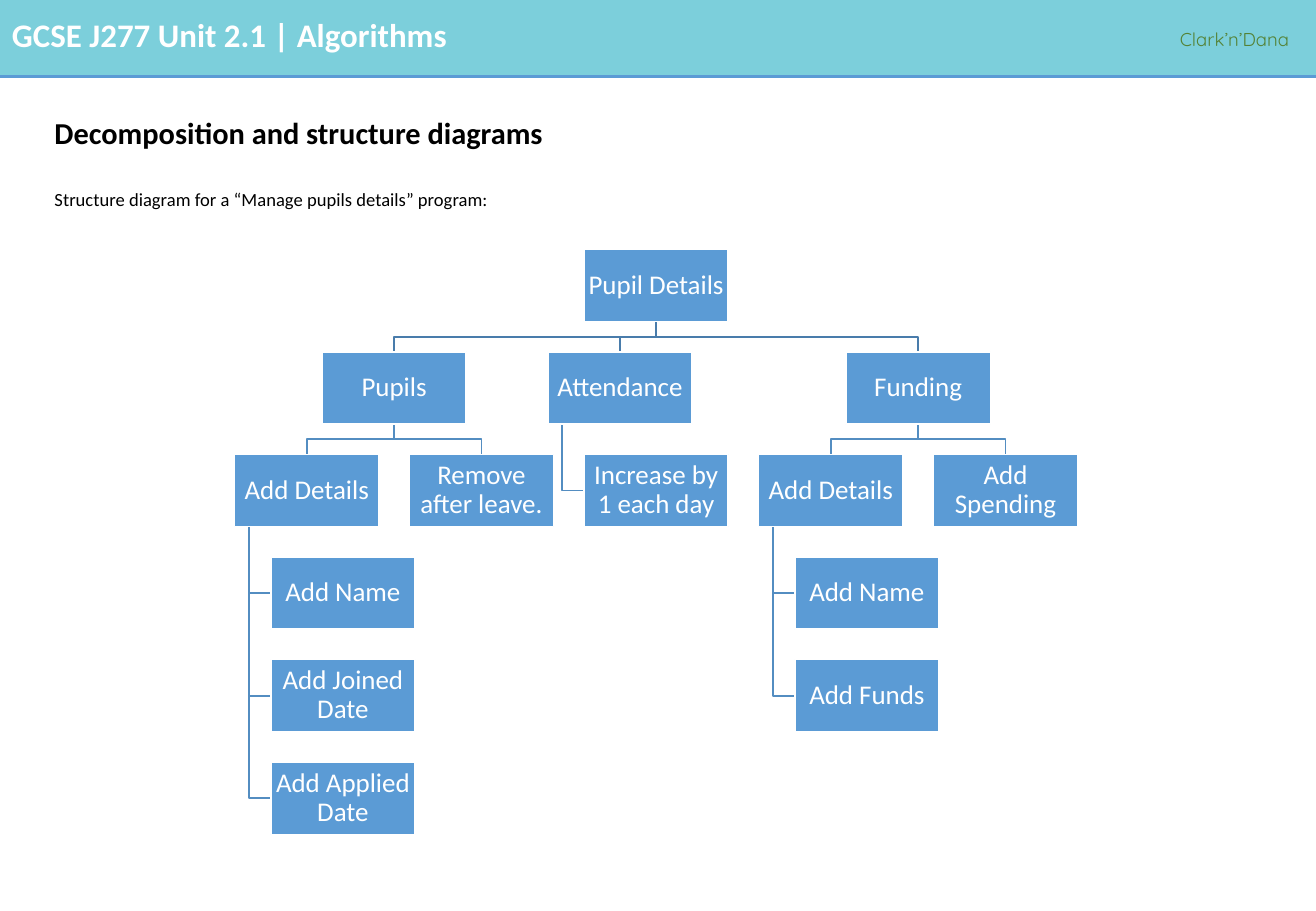
from dataclasses import dataclass

from lxml.etree import SubElement
from pptx import Presentation
from pptx.dml.color import RGBColor
from pptx.enum.shapes import MSO_CONNECTOR, MSO_SHAPE
from pptx.enum.text import MSO_ANCHOR, PP_ALIGN
from pptx.oxml.ns import qn
from pptx.util import Pt

COLOURS = {
    "band": "7CCFDB",
    "box": "5B9BD5",
    "white": "FFFFFF",
    "black": "000000",
    "brand": "548235",
    "top_link": "497CAB",
    "link": "538DC1",
}
PAGE_WIDTH, PAGE_HEIGHT = 779.76, 540
BAND_HEIGHT = 45.4
BOX_WIDTH, BOX_HEIGHT = 85.6, 42.8
TREE_LEFT, TREE_TOP = 139, 147.8
COLUMN_STEP, ROW_STEP = 103.5, 60.8
INDENT = 21.4
SPINE_OFFSET = 8.6
BOX_INSET = 0.7


@dataclass(frozen=True)
class Label:
    text: str
    left: float
    top: float
    width: float
    height: float
    size: float
    colour: str
    font: str = "Calibri"
    bold: bool = False
    spacing: float = 1.0
    wrap: bool = True
    anchor: MSO_ANCHOR = MSO_ANCHOR.TOP


@dataclass(frozen=True)
class Task:
    text: str
    column: float
    row: int
    indent: int = 0
    children: tuple["Task", ...] = ()
    hanging: bool = False

    @property
    def left(self) -> float:
        return TREE_LEFT + self.column * COLUMN_STEP + self.indent * INDENT

    @property
    def top(self) -> float:
        return TREE_TOP + self.row * ROW_STEP

    @property
    def centre(self) -> float:
        return self.left + BOX_WIDTH / 2

    @property
    def bottom(self) -> float:
        return self.top + BOX_HEIGHT


LABELS = (
    Label("GCSE J277 Unit 2.1 | Algorithms", 0, 5, 682.5, 31, 19.5, "white", bold=True),
    Label("Clark’n’Dana", 692, 12.2, 87.8, 21, 11, "brand",
          font="Quicksand", spacing=1.07, wrap=False),
    Label("Decomposition and structure diagrams", 25.2, 59.8, 727.2, 40.3, 18, "black",
          bold=True, spacing=0.9, anchor=MSO_ANCHOR.MIDDLE),
    Label("Structure diagram for a “Manage pupils details” program:",
          25.2, 108, 359.3, 21, 11, "black"),
)


def stack(column: int, *names: str) -> tuple[Task, ...]:
    return tuple(Task(name, column, row, 1) for row, name in enumerate(names, 3))


PUPILS = Task("Pupils", 0.5, 1, children=(
    Task("Add Details", 0, 2, hanging=True,
         children=stack(0, "Add Name", "Add Joined Date", "Add Applied Date")),
    Task("Remove after leave.", 1, 2),
))
ATTENDANCE = Task("Attendance", 2, 1, -1, hanging=True,
                  children=(Task("Increase by 1 each day", 2, 2),))
FUNDING = Task("Funding", 3.5, 1, children=(
    Task("Add Details", 3, 2, hanging=True,
         children=stack(3, "Add Name", "Add Funds")),
    Task("Add Spending", 4, 2),
))
ROOT = Task("Pupil Details", 2, 0, children=(PUPILS, ATTENDANCE, FUNDING))


def colour_of(name: str) -> RGBColor:
    return RGBColor.from_string(COLOURS[name])


def style_text(frame, size: float, colour: str, font: str = "Calibri",
               bold: bool = False, spacing: float = 1.0) -> None:
    paragraph = frame.paragraphs[0]
    paragraph.line_spacing = spacing
    for span in paragraph.runs:
        span.font.name = font
        span.font.size = Pt(size)
        span.font.bold = bold
        span.font.color.rgb = colour_of(colour)


def draw_label(page, label: Label) -> None:
    box = page.shapes.add_textbox(
        Pt(label.left), Pt(label.top), Pt(label.width), Pt(label.height))
    frame = box.text_frame
    frame.text = label.text
    frame.word_wrap = label.wrap
    frame.vertical_anchor = label.anchor
    style_text(frame, label.size, label.colour, label.font, label.bold, label.spacing)


def draw_band(page) -> None:
    band = page.shapes.add_shape(
        MSO_SHAPE.RECTANGLE, Pt(0), Pt(0), Pt(PAGE_WIDTH), Pt(BAND_HEIGHT))
    band.shadow.inherit = False
    band.fill.solid()
    band.fill.fore_color.rgb = colour_of("band")
    band.line.fill.background()
    rule = page.shapes.add_connector(
        MSO_CONNECTOR.STRAIGHT, Pt(0), Pt(BAND_HEIGHT), Pt(PAGE_WIDTH), Pt(BAND_HEIGHT))
    rule.line.color.rgb = colour_of("box")
    rule.line.width = Pt(2.25)
    SubElement(rule._element.spPr, qn("a:effectLst"))


def draw_link(page, parent: Task, child: Task) -> None:
    if parent.hanging:
        spine = parent.left + SPINE_OFFSET
        middle = child.top + BOX_HEIGHT / 2
        points = [(spine, parent.bottom), (spine, middle), (child.left, middle)]
    else:
        turn = (parent.bottom + child.top) / 2
        points = [(parent.centre, parent.bottom), (parent.centre, turn),
                  (child.centre, turn), (child.centre, child.top)]
    corners = [(Pt(x), Pt(y)) for x, y in points]
    builder = page.shapes.build_freeform(*corners[0])
    builder.add_line_segments(corners[1:], close=False)
    link = builder.convert_to_shape()
    link.shadow.inherit = False
    link.fill.background()
    link.line.color.rgb = colour_of("top_link" if parent is ROOT else "link")
    link.line.width = Pt(1)


def draw_links(page, parent: Task) -> None:
    for child in parent.children:
        draw_link(page, parent, child)
        draw_links(page, child)


def draw_boxes(page, task: Task) -> None:
    box = page.shapes.add_shape(
        MSO_SHAPE.RECTANGLE, Pt(task.left), Pt(task.top), Pt(BOX_WIDTH), Pt(BOX_HEIGHT))
    box.shadow.inherit = False
    box.fill.solid()
    box.fill.fore_color.rgb = colour_of("box")
    box.line.color.rgb = colour_of("white")
    box.line.width = Pt(1)
    frame = box.text_frame
    frame.text = task.text
    frame.word_wrap = True
    frame.vertical_anchor = MSO_ANCHOR.MIDDLE
    frame.margin_left = frame.margin_right = Pt(BOX_INSET)
    frame.margin_top = frame.margin_bottom = Pt(BOX_INSET)
    frame.paragraphs[0].alignment = PP_ALIGN.CENTER
    style_text(frame, 16, "white", spacing=0.9)
    for child in task.children:
        draw_boxes(page, child)


def main() -> None:
    deck = Presentation()
    deck.slide_width, deck.slide_height = Pt(PAGE_WIDTH), Pt(PAGE_HEIGHT)
    page = deck.slides.add_slide(deck.slide_layouts[6])
    draw_band(page)
    for label in LABELS:
        draw_label(page, label)
    draw_links(page, ROOT)
    draw_boxes(page, ROOT)
    deck.save("out.pptx")


if __name__ == "__main__":
    main()
